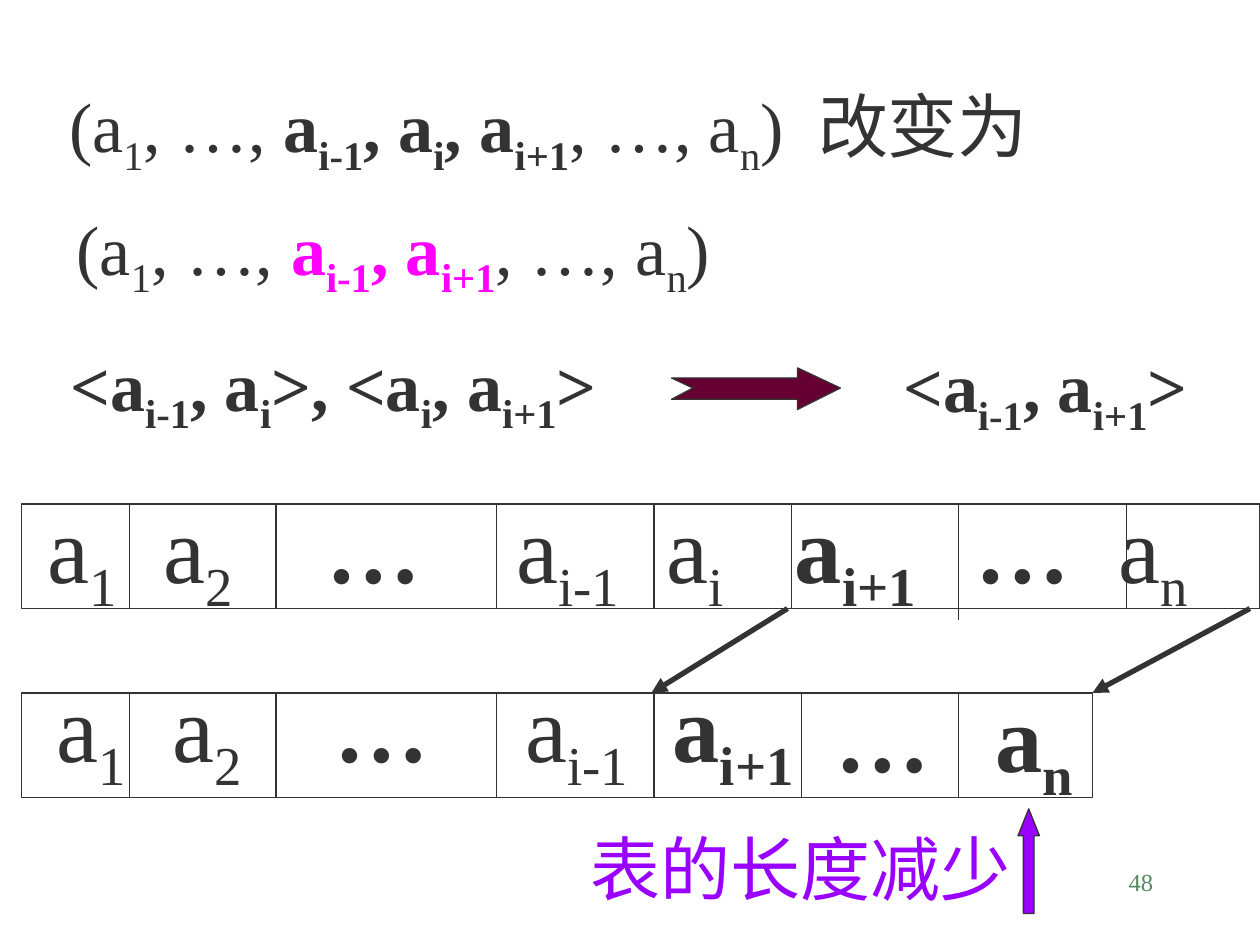
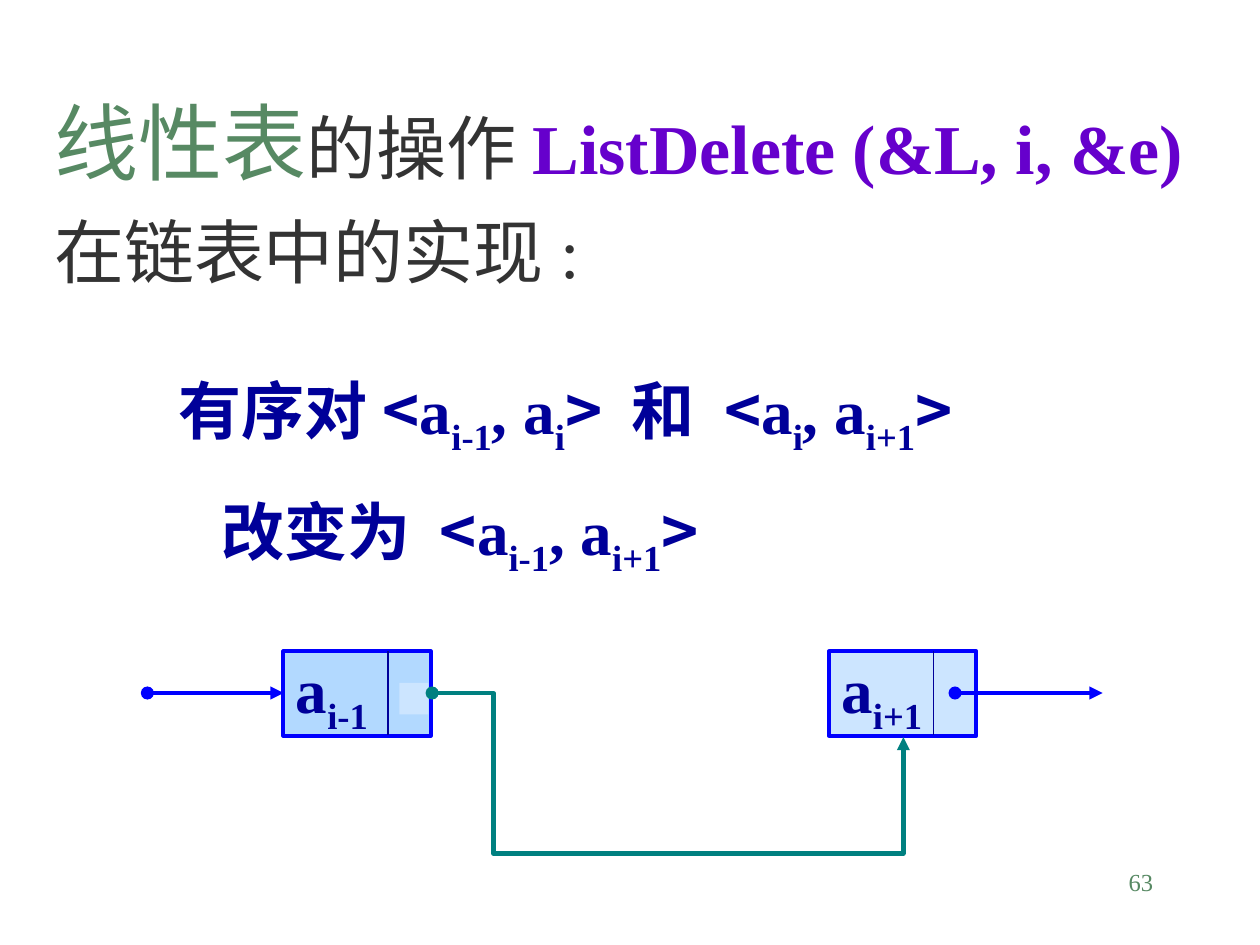
"""Two slides on deleting an element from a linear list, as an array and as a linked list."""
from dataclasses import dataclass

from lxml import etree
from pptx import Presentation
from pptx.dml.color import RGBColor
from pptx.enum import shapes, text
from pptx.oxml.ns import qn
from pptx.util import Inches, Pt


@dataclass(frozen=True)
class Theme:
    serif: str = "Times New Roman"
    sans: str = "Noto Sans CJK SC"
    ink: str = "333333"
    green: str = "578963"
    magenta: str = "FF00FF"
    maroon: str = "660033"
    violet: str = "9900FF"
    purple: str = "6600CC"
    navy: str = "000099"
    blue: str = "0000FF"
    teal: str = "008080"
    node_dark: str = "B2D9FF"
    node_light: str = "CCE5FF"
    page: int = 14
    pair: int = 36
    body: int = 40
    heading: int = 48
    cell: int = 54
    thin: float = 0.75
    border: float = 2.25
    link: float = 2.5
    arrow: float = 3


theme = Theme()


def write(shape, *paragraphs, size=theme.body, color=theme.ink, bold=False, spacing=1.0):
    """Fill a shape with paragraphs of (text, overrides) runs; underscores enclose subscripts."""
    frame = shape.text_frame
    frame.word_wrap = True
    for index, runs in enumerate(paragraphs):
        paragraph = frame.paragraphs[0] if index == 0 else frame.add_paragraph()
        paragraph.alignment = text.PP_ALIGN.LEFT
        paragraph.line_spacing = spacing
        for marked, changes in runs:
            style = {"size": size, "color": color, "bold": bold, "font": theme.serif} | changes
            for position, part in enumerate(marked.split("_")):
                if not part:
                    continue
                run = paragraph.add_run()
                run.text = part
                run.font.name = style["font"]
                run.font.size = Pt(style["size"])
                run.font.bold = style["bold"]
                run.font.color.rgb = RGBColor.from_string(style["color"])
                if position % 2:
                    run.font._element.set("baseline", "-25000")
    return frame


def connect(slide, start, end, color, width, head=None, tail=None):
    """Draw a straight connector with optional line ends."""
    connector = slide.shapes.add_connector(
        shapes.MSO_CONNECTOR.STRAIGHT, *(Inches(value) for value in (*start, *end)))
    connector.line.color.rgb = RGBColor.from_string(color)
    connector.line.width = Pt(width)
    for tag, kind in (("a:headEnd", head), ("a:tailEnd", tail)):
        if kind:
            etree.SubElement(connector.line._get_or_add_ln(), qn(tag), type=kind)
    etree.SubElement(connector._element.spPr, qn("a:effectLst"))
    return connector


presentation = Presentation()
presentation.slide_width = Inches(10)
presentation.slide_height = Inches(7.5)
array_slide = presentation.slides.add_slide(presentation.slide_layouts[6])
linked_slide = presentation.slides.add_slide(presentation.slide_layouts[5])

for slide, number in ((array_slide, "48"), (linked_slide, "63")):
    page_box = slide.shapes.add_textbox(Inches(7.17), Inches(6.83), Inches(2.08), Inches(0.5))
    frame = write(page_box, [(number, {})], size=theme.page, color=theme.green)
    frame.paragraphs[0].alignment = text.PP_ALIGN.RIGHT

strong = {"bold": True}
pink = {"bold": True, "color": theme.magenta}
statements = [
    (0.45, 0.42, 8.2, 1.25, [("(a_1_, …, ", {}), ("a_i-1_, a_i_, a_i+1_", strong),
                             (", …, a_n_) 改变为", {})]),
    (0.51, 1.58, 5.6, 1, [("(a_1_, …,", {}), (" a_i-1_, a_i+1_", pink), (", …, a_n_)", {})]),
    (0.46, 2.66, 4.7, 1, [("<a_i-1_, a_i_>, <a_i_, a_i+1_>", strong)]),
    (7.07, 2.67, 2.8, 1, [("<a_i-1_, a_i+1_>", strong)]),
    (4.59, 6.5, 3.7, 1, [("表的长度减少", {"color": theme.violet})]),
]
for left, top, width, spacing, runs in statements:
    box = array_slide.shapes.add_textbox(Inches(left), Inches(top), Inches(width), Inches(0.86))
    write(box, runs, spacing=spacing)

builder = array_slide.shapes.build_freeform(Inches(5.33), Inches(3), scale=1.0)
builder.add_line_segments([(Inches(x), Inches(y)) for x, y in (
    (6.33, 3), (6.33, 2.92), (6.67, 3.08), (6.33, 3.25), (6.33, 3.17), (5.33, 3.17), (5.5, 3.08))])
change_arrow = builder.convert_to_shape()
length_arrow = array_slide.shapes.add_shape(
    shapes.MSO_SHAPE.UP_ARROW, Inches(8.08), Inches(6.42), Inches(0.17), Inches(0.83))
length_arrow.adjustments[1] = 1.25
for arrow, color in ((change_arrow, theme.maroon), (length_arrow, theme.violet)):
    arrow.shadow.inherit = False
    arrow.fill.solid()
    arrow.fill.fore_color.rgb = RGBColor.from_string(color)
    arrow.line.color.rgb = RGBColor.from_string(theme.ink)
    arrow.line.width = Pt(theme.thin)

rows = [
    (4, 9.83, [1.03, 2.19, 3.94, 5.19, 6.28, 7.61, 8.94],
     [("a_1_", 0.28, 3.83, False), ("a_2_", 1.2, 3.83, False), ("…", 2.49, 3.83, True),
      ("a_i-1_", 4, 3.83, False), ("a_i_", 5.19, 3.83, False), ("a_i+1_", 6.21, 3.83, True),
      ("…", 7.64, 3.83, True), ("a_n_", 8.78, 3.83, False)]),
    (5.5, 8.5, [1.03, 2.19, 3.94, 5.19, 6.36, 7.61],
     [("a_1_", 0.35, 5.25, False), ("a_2_", 1.27, 5.25, False), ("…", 2.56, 5.25, True),
      ("a_i-1_", 4.07, 5.25, False), ("a_i+1_", 5.24, 5.25, True),
      ("…", 6.53, 5.33, True), ("a_n_", 7.8, 5.33, True)]),
]
for top, width, dividers, cells in rows:
    for label, left, label_top, bold in cells:
        cell = array_slide.shapes.add_textbox(
            Inches(left), Inches(label_top), Inches(1.22), Inches(1.13))
        write(cell, [(label, {})], size=theme.cell, bold=bold)
    for x in dividers:
        bottom = 4.92 if (top, x) == (4, 7.61) else top + 0.83
        connect(array_slide, (x, top), (x, bottom), theme.ink, theme.thin)
    outline = array_slide.shapes.add_shape(
        shapes.MSO_SHAPE.RECTANGLE, Inches(0.17), Inches(top), Inches(width), Inches(0.83))
    outline.shadow.inherit = False
    outline.fill.background()
    outline.line.color.rgb = RGBColor.from_string(theme.ink)
    outline.line.width = Pt(theme.thin)

for start, end in ((6.25, 5.17), (9.92, 8.67)):
    connect(array_slide, (start, 4.83), (end, 5.5), theme.ink, theme.arrow, tail="triangle")

title = linked_slide.shapes.title
title.left, title.top, title.width, title.height = (
    Inches(value) for value in (0.33, 0.51, 9.58, 1.86))
frame = write(title, [
    ("线性表", {"size": theme.heading, "color": theme.green}),
    ("的操作", {}),
    ("ListDelete (&L, i, &e)", {"bold": True, "color": theme.purple}),
    ("在链表中的实现:", {})], spacing=1.2)
frame.vertical_anchor = text.MSO_ANCHOR.TOP
frame.auto_size = text.MSO_AUTO_SIZE.NONE

sans = {"font": theme.sans}
pairs = linked_slide.shapes.add_textbox(Inches(1.32), Inches(2.63), Inches(6.6), Inches(2.3))
frame = write(
    pairs,
    [("有序对<", sans), ("a_i-1_, a_i_", {}), ("> 和 <", sans), ("a_i_, a_i+1_", {}), (">", sans)],
    [("改变为 <", sans), ("a_i-1_, a_i+1_", {}), (">", sans)],
    size=theme.pair, color=theme.navy, bold=True, spacing=1.4)
frame.paragraphs[1]._p.get_or_add_pPr().set("marL", str(Inches(0.34)))

nodes = [(2.25, "a_i-1_", theme.node_dark), (6.58, "a_i+1_", theme.node_light)]
for left, label, color in nodes:
    node = linked_slide.shapes.add_shape(
        shapes.MSO_SHAPE.RECTANGLE, Inches(left), Inches(5.17), Inches(1.17), Inches(0.67))
    node.shadow.inherit = False
    node.fill.solid()
    node.fill.fore_color.rgb = RGBColor.from_string(color)
    node.line.color.rgb = RGBColor.from_string(theme.blue)
    node.line.width = Pt(theme.border)
    frame = write(node, [(label, {})], size=theme.pair, color=theme.navy, bold=True)
    frame.vertical_anchor = text.MSO_ANCHOR.MIDDLE
    divider = left + 0.83
    connect(linked_slide, (divider, 5.17), (divider, 5.83), theme.navy, theme.thin)

pointer_field = linked_slide.shapes.add_shape(
    shapes.MSO_SHAPE.RECTANGLE, Inches(3.17), Inches(5.42), Inches(0.23), Inches(0.25))
pointer_field.shadow.inherit = False
pointer_field.fill.solid()
pointer_field.fill.fore_color.rgb = RGBColor.from_string(theme.node_light)
pointer_field.line.fill.background()

for start, end in ((1.17, 2.25), (7.58, 8.75)):
    connect(linked_slide, (start, 5.5), (end, 5.5), theme.blue, theme.link, "oval", "triangle")

bypass = connect(linked_slide, (3.43, 5.5), (7.17, 5.85), theme.teal, theme.link,
                 "oval", "triangle")
geometry = bypass._element.spPr.find(qn("a:prstGeom"))
geometry.set("prst", "bentConnector4")
guides = geometry.find(qn("a:avLst"))
if guides is None:
    guides = etree.SubElement(geometry, qn("a:avLst"))
for name, value in (("adj1", 13000), ("adj2", 364000)):
    etree.SubElement(guides, qn("a:gd"), name=name, fmla=f"val {value}")

presentation.save("out.pptx")
